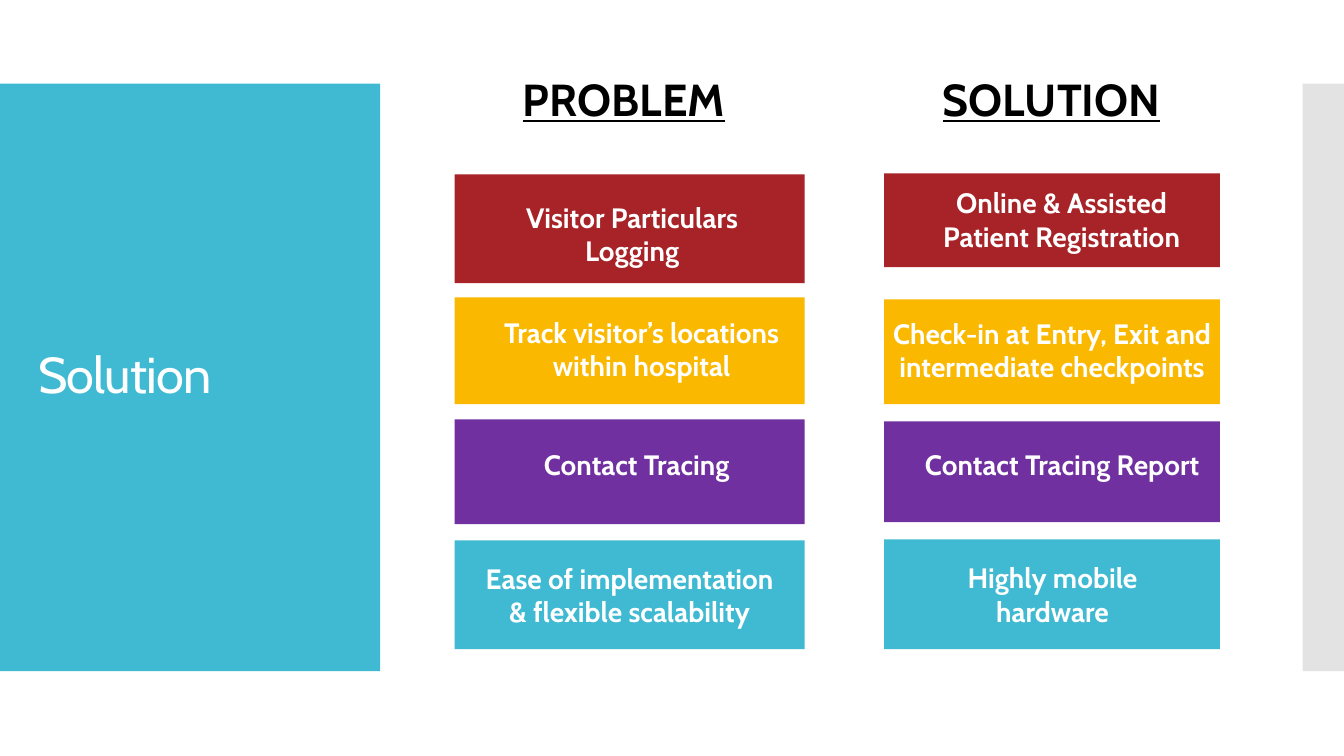
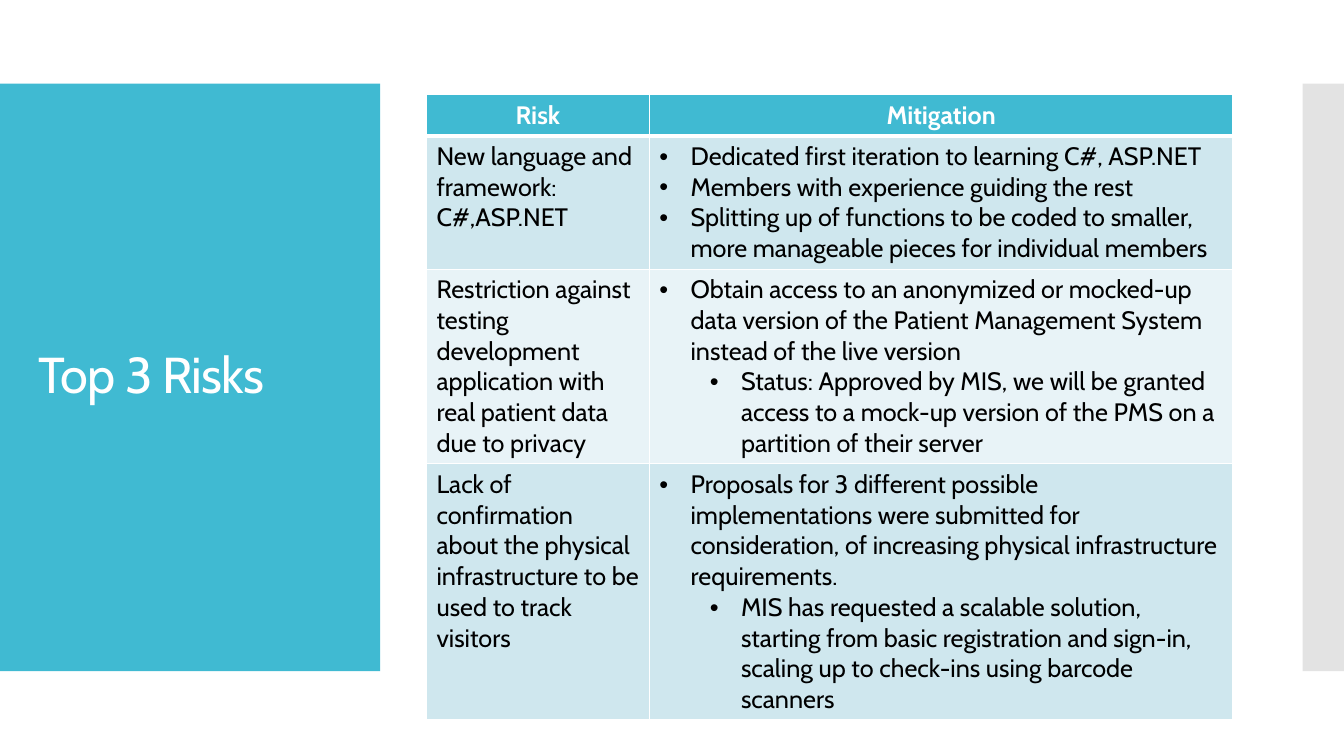
from dataclasses import dataclass

from lxml.etree import SubElement as Sub
from pptx import Presentation
from pptx.dml.color import RGBColor as Rgb
from pptx.enum.shapes import MSO_SHAPE as Kind
from pptx.enum.text import MSO_ANCHOR as Anchor
from pptx.enum.text import MSO_AUTO_SIZE as Fit
from pptx.enum.text import PP_ALIGN as Align
from pptx.oxml.ns import qn
from pptx.util import Inches, Pt

FONT = "Cabin"
HUES = {
    "teal": "40BAD2", "grey": "E3E3E3", "red": "A72327",
    "gold": "FAB900", "plum": "7030A0", "white": "FFFFFF",
    "black": "000000", "tint": "CFE7EE", "pale": "E8F3F7",
}
TITLE_ONLY = 5


@dataclass
class Card:
    text: str
    hue: str
    top: float
    high: float
    left: float = 0  # text insets
    right: float = 0
    drop: float = 0  # shift of the text below the middle


@dataclass
class Column:
    head: str
    mid: float  # centre of the heading
    left: float
    wide: float
    cards: list[Card]


@dataclass
class Risk:
    name: str
    steps: list[tuple[int, str]]  # level and text
    high: float


COLUMNS = [
    Column("PROBLEM", 6.19, 4.51, 3.47, [
        Card("Visitor Particulars Logging", "red", 1.73, 1.08, 0.3, 0.25, 0.05),
        Card("Track visitor’s locations within hospital", "gold",
             2.95, 1.06, 0.25, 0.01, -0.02),
        Card("Contact Tracing", "plum", 4.16, 1.04, 0.34, 0.2, -0.07),
        Card("Ease of implementation & flexible scalability", "teal",
             5.36, 1.08, 0.25, 0.25),
    ]),
    Column("SOLUTION", 10.43, 8.77, 3.33, [
        Card("Online & Assisted Patient Registration", "red",
             1.72, 0.93, 0.48, 0.29, -0.01),
        Card("Check-in at Entry, Exit and intermediate checkpoints", "gold",
             2.97, 1.04, drop=-0.02),
        Card("Contact Tracing Report", "plum", 4.18, 1, 0.39, 0.19, -0.07),
        Card("Highly mobile hardware", "teal", 5.35, 1.09, 0.3, 0.29),
    ]),
]

RISKS = [
    Risk("New language and framework: C#,ASP.NET", [
        (0, "Dedicated first iteration to learning C#, ASP.NET"),
        (0, "Members with experience guiding the rest"),
        (0, "Splitting up of functions to be coded to smaller, more "
            "manageable pieces for individual members"),
    ], 1.3),
    Risk("Restriction against testing development application with real "
         "patient data due to privacy", [
        (0, "Obtain access to an anonymized or mocked-up data version of the "
            "Patient Management System instead of the live version"),
        (1, "Status: Approved by MIS, we will be granted access to a mock-up "
            "version of the PMS on a partition of their server"),
    ], 1.9),
    Risk("Lack of confirmation about the physical infrastructure to be used "
         "to track visitors", [
        (0, "Proposals for 3 different possible implementations were "
            "submitted for consideration, of increasing physical "
            "infrastructure requirements."),
        (1, "MIS has requested a scalable solution, starting from basic "
            "registration and sign-in, scaling up to check-ins using barcode "
            "scanners"),
    ], 1.9),
]


def shade(hue: str) -> Rgb:
    return Rgb.from_string(HUES[hue])


def style(para, size: float, hue: str, bold: bool = False,
          align: Align = Align.LEFT) -> None:
    para.alignment = align
    font = para.font
    font.name, font.size, font.bold = FONT, Pt(size), bold
    font.color.rgb = shade(hue)


def block(slide, left: float, top: float, wide: float, high: float, hue: str):
    shape = slide.shapes.add_shape(
        Kind.RECTANGLE, Inches(left), Inches(top), Inches(wide), Inches(high))
    shape.shadow.inherit = False
    shape.fill.solid()
    shape.fill.fore_color.rgb = shade(hue)
    shape.line.fill.background()
    return shape


def start(deck, name: str):
    """Add a slide with its side bands and title."""
    slide = deck.slides.add_slide(deck.slide_layouts[TITLE_ONLY])
    title = slide.shapes.title
    for left, wide, hue in ((0, 3.77, "teal"), (12.92, 0.41, "grey")):
        band = block(slide, left, 0.83, wide, 5.83, hue)
        title.element.addprevious(band.element)
    title.left, title.top = Inches(0.28), Inches(1.23)
    title.width, title.height = Inches(3.22), Inches(5.03)
    frame = title.text_frame
    frame.text = name
    frame.auto_size, frame.word_wrap = Fit.NONE, True
    frame.vertical_anchor = Anchor.MIDDLE
    para = frame.paragraphs[0]
    para.line_spacing = 0.9
    style(para, 36, "white")
    para.runs[0].font._element.set("spc", "-60")
    return slide


def heading(slide, text: str, mid: float) -> None:
    wide = 3.88
    box = slide.shapes.add_textbox(
        Inches(mid - wide / 2), Inches(0.66), Inches(wide), Inches(0.64))
    frame = box.text_frame
    frame.word_wrap = True
    frame.text = text
    para = frame.paragraphs[0]
    style(para, 32, "black", True, Align.CENTER)
    para.font.underline = True


def draw_card(slide, card: Card, left: float, wide: float) -> None:
    shape = block(slide, left, card.top, wide, card.high, card.hue)
    frame = shape.text_frame
    frame.word_wrap = True
    frame.vertical_anchor = Anchor.MIDDLE
    frame.margin_left, frame.margin_right = Inches(card.left), Inches(card.right)
    frame.margin_top = Inches(max(0, 2 * card.drop))
    frame.margin_bottom = Inches(max(0, -2 * card.drop))
    frame.text = card.text
    style(frame.paragraphs[0], 20, "white", True, Align.CENTER)


def bullet(para, level: int) -> None:
    para.level = level
    props = para._p.get_or_add_pPr()
    props.set("marL", str(Inches(0.31 + 0.5 * level)))
    props.set("indent", str(Inches(-0.31)))
    Sub(props, qn("a:buFont"), typeface="Arial")
    Sub(props, qn("a:buChar"), char="•")


def paint(cell, hue: str, above: float = 1, below: float = 1) -> None:
    """Give a cell white borders and a fill."""
    props = cell._tc.get_or_add_tcPr()
    for side, wide in (("L", 1), ("R", 1), ("T", above), ("B", below)):
        line = Sub(props, qn(f"a:ln{side}"), w=str(Pt(wide)))
        fill = Sub(line, qn("a:solidFill"))
        Sub(fill, qn("a:srgbClr"), val=HUES["white"])
    cell.fill.solid()
    cell.fill.fore_color.rgb = shade(hue)


def draw_risks(slide) -> None:
    highs = [0.41] + [risk.high for risk in RISKS]
    grid = slide.shapes.add_table(
        len(highs), 2, Inches(4.23), Inches(0.94),
        Inches(8), Inches(sum(highs))).table
    for col, wide in zip(grid.columns, (2.21, 5.79)):
        col.width = Inches(wide)
    for row, high in zip(grid.rows, highs):
        row.height = Inches(high)

    # Header row
    for col, text in enumerate(("Risk", "Mitigation")):
        cell = grid.cell(0, col)
        cell.text = text
        style(cell.text_frame.paragraphs[0], 18, "white", True, Align.CENTER)
        paint(cell, "teal", below=3)

    # One row for each risk
    for row, risk in enumerate(RISKS, 1):
        name, plan = grid.cell(row, 0), grid.cell(row, 1)
        name.text = risk.name
        style(name.text_frame.paragraphs[0], 18, "black")
        plan.text = "\n".join(text for _, text in risk.steps)
        for para, (level, _) in zip(plan.text_frame.paragraphs, risk.steps):
            bullet(para, level)
            style(para, 18, "black")
        for cell in (name, plan):
            paint(cell, "tint" if row % 2 else "pale", 3 if row == 1 else 1)


def main() -> None:
    deck = Presentation()
    deck.slide_width, deck.slide_height = Inches(13.33), Inches(7.5)

    # Problems and their solutions
    slide = start(deck, "Solution")
    for col in COLUMNS:
        heading(slide, col.head, col.mid)
        for card in col.cards:
            draw_card(slide, card, col.left, col.wide)

    # Risk table
    draw_risks(start(deck, "Top 3 Risks"))
    deck.save("out.pptx")


if __name__ == "__main__":
    main()
